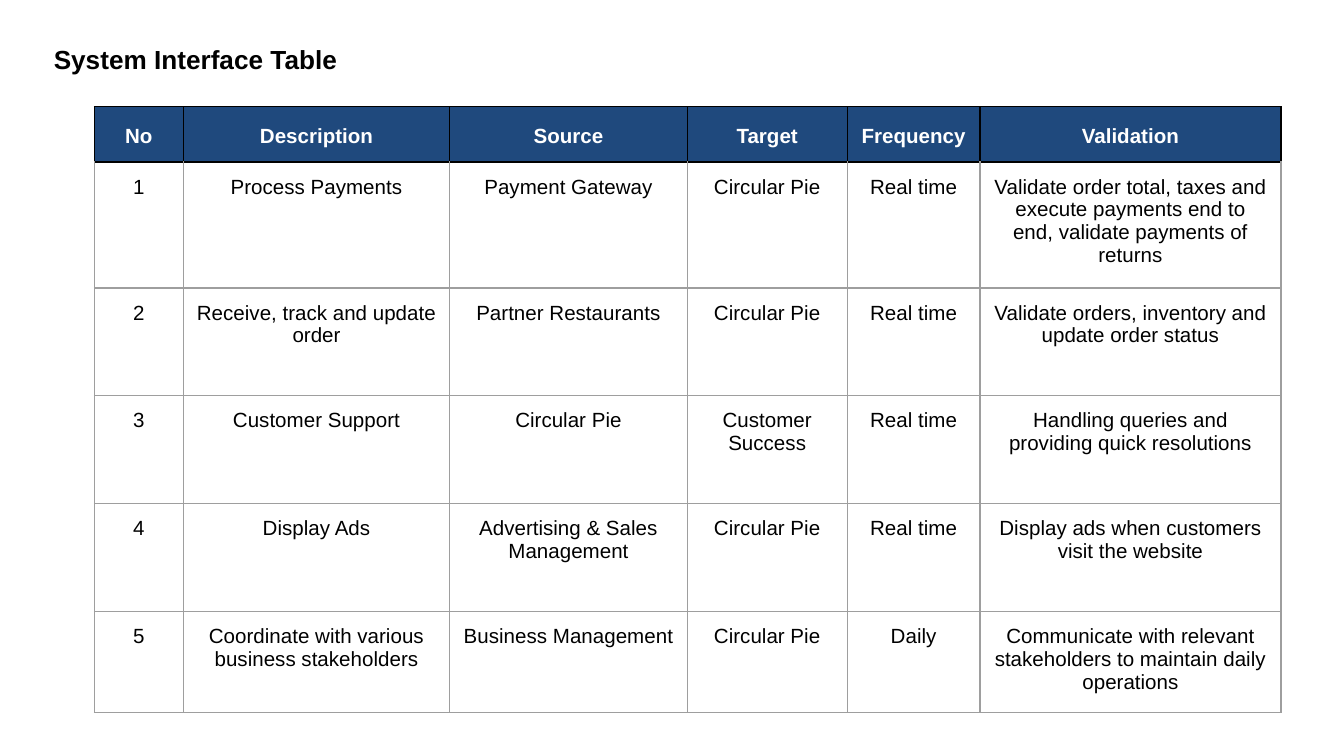
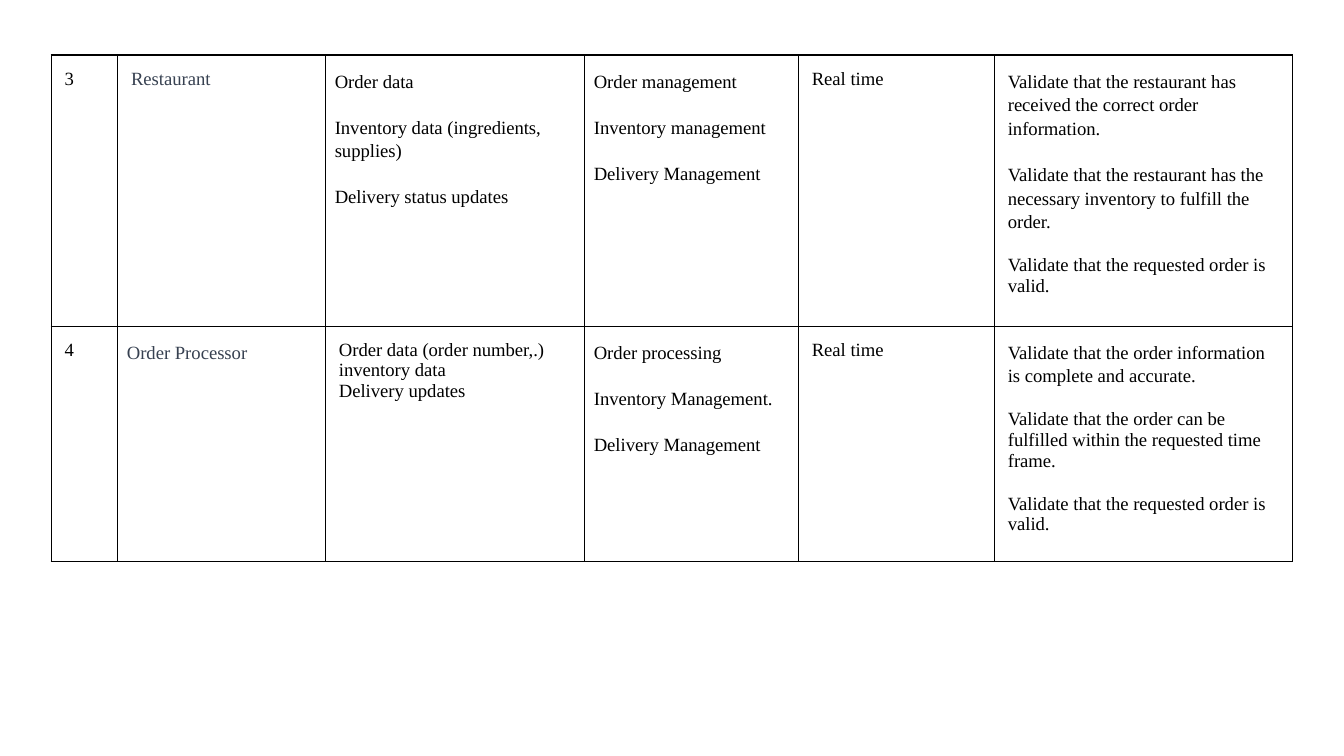
from lxml import etree
from pptx import Presentation
from pptx.dml.color import RGBColor
from pptx.enum.text import MSO_ANCHOR as Anchor, MSO_AUTO_SIZE as AutoSize, PP_ALIGN as Align
from pptx.oxml.ns import qn
from pptx.util import Pt

# Content
TITLE = "System Interface Table"
HEADERS = ["No", "Description", "Source", "Target", "Frequency", "Validation"]
INTERFACES = [
    ("1", "Process Payments", "Payment Gateway", "Circular Pie", "Real time",
     "Validate order total, taxes and execute payments end to end, validate payments of returns"),
    ("2", "Receive, track and update order", "Partner Restaurants", "Circular Pie", "Real time",
     "Validate orders, inventory and update order status"),
    ("3", "Customer Support", "Circular Pie", "Customer Success", "Real time",
     "Handling queries and providing quick resolutions"),
    ("4", "Display Ads", "Advertising & Sales Management", "Circular Pie", "Real time",
     "Display ads when customers visit the website"),
    ("5", "Coordinate with various business stakeholders", "Business Management", "Circular Pie",
     "Daily", "Communicate with relevant stakeholders to maintain daily operations"),
]
# Each cell: style name, paragraphs
ROLES = [
    [("plain", ["3"]),
     ("plain", ["Restaurant"]),
     ("list", ["Order data", "Inventory data (ingredients, supplies)", "Delivery status updates"]),
     ("list", ["Order management", "Inventory management", "Delivery Management"]),
     ("plain", ["Real time"]),
     ("checks_two_open", ["Validate that the restaurant has received the correct order information.",
                          "Validate that the restaurant has the necessary inventory to fulfill the order.",
                          "Validate that the requested order is valid."])],
    [("plain", ["4"]),
     ("list", ["Order Processor"]),
     ("plain", ["Order data (order number,.)", "inventory data", "Delivery updates"]),
     ("list", ["Order processing", "Inventory Management.", "Delivery Management"]),
     ("plain", ["Real time"]),
     ("checks_one_open", ["Validate that the order information is complete and accurate.",
                          "Validate that the order can be fulfilled within the requested time frame.",
                          "Validate that the requested order is valid."])],
]

# Shared look
BLACK, WHITE, NAVY, GREY, SLATE = "000000", "FFFFFF", "1F497D", "9E9E9E", "374151"
SANS, SERIF = "Arial", "Times New Roman"
INSET, NARROW, OPEN = 7.2, 5, 1.15
# Side inset, paragraphs with open lines, space before, space after the last
STYLES = {
    "plain": (INSET, 0, 0, 0),
    "list": (NARROW, 3, 12, 12),
    "checks_two_open": (INSET, 2, 12, 0),
    "checks_one_open": (INSET, 1, 12, 0),
}


def rgb(value):
    return RGBColor.from_string(value)


def set_font(p, name, size, color, bold=False):
    p.font.name, p.font.size, p.font.bold = name, Pt(size), bold
    p.font.color.rgb = rgb(color)


def set_borders(cell, color, top=None):
    """Draw the four edges, placed ahead of the cell fill."""
    tcPr = cell._tc.get_or_add_tcPr()
    for i, side in enumerate(("lnL", "lnR", "lnT", "lnB")):
        ln = etree.Element(qn("a:" + side), w=str(Pt(0.75)))
        fill = etree.SubElement(ln, qn("a:solidFill"))
        edge = top if top and side == "lnT" else color
        etree.SubElement(fill, qn("a:srgbClr"), val=edge)
        tcPr.insert(i, ln)


def set_cell(cell, paragraphs, fill, border, side=INSET, top=None):
    cell.margin_left = cell.margin_right = Pt(side)
    cell.margin_top = cell.margin_bottom = Pt(INSET)
    cell.fill.solid()
    cell.fill.fore_color.rgb = rgb(fill)
    set_borders(cell, border, top)
    cell.text_frame.text = "\n".join(paragraphs)
    return cell.text_frame.paragraphs


def add_grid(s, left, top, widths, heights):
    table = s.shapes.add_table(len(heights), len(widths), Pt(left), Pt(top),
                               Pt(sum(widths)), Pt(sum(heights))).table
    table.first_row = table.horz_banding = False
    for column, width in zip(table.columns, widths):
        column.width = Pt(width)
    for row, height in zip(table.rows, heights):
        row.height = Pt(height)
    return table


prs = Presentation()
prs.slide_width, prs.slide_height = Pt(720), Pt(405)

# Slide 1: title and system interfaces
s = prs.slides.add_slide(prs.slide_layouts[5])
title = s.shapes.title
title.left, title.top, title.width, title.height = Pt(21.6), Pt(15.8), Pt(234), Pt(31.7)
tf = title.text_frame
tf.text = TITLE
tf.word_wrap, tf.auto_size, tf.vertical_anchor = True, AutoSize.SHAPE_TO_FIT_TEXT, Anchor.TOP
tf.margin_left = tf.margin_right = tf.margin_top = tf.margin_bottom = Pt(INSET)
tf.paragraphs[0].alignment = Align.LEFT
set_font(tf.paragraphs[0], SANS, 14, BLACK, True)

table = add_grid(s, 50.6, 57.2, [47.6, 142.8, 127.2, 85.7, 71.2, 161.2],
                 [29.6, 67.5, 57.8, 57.8, 57.8, 54])
for r, row in enumerate([HEADERS] + INTERFACES):
    header = r == 0
    for c, text in enumerate(row):
        cell = table.cell(r, c)
        if header:
            p = set_cell(cell, [text], NAVY, BLACK, side=2)[0]
            cell.vertical_anchor = Anchor.MIDDLE
            p.line_spacing = OPEN
        else:
            p = set_cell(cell, [text], WHITE, GREY, top=BLACK if r == 1 else None)[0]
        p.alignment = Align.CENTER
        set_font(p, SANS, 11, WHITE if header else BLACK, header)

# Slide 2: roles, data and checks
s = prs.slides.add_slide(prs.slide_layouts[6])
table = add_grid(s, 27.4, 29.5, [35.6, 111.4, 138.8, 114.6, 105, 159.7], [145.3, 126])
for r, row in enumerate(ROLES):
    for c, (style, texts) in enumerate(row):
        side, open_count, before, after = STYLES[style]
        paragraphs = set_cell(table.cell(r, c), texts, WHITE, BLACK, side)
        for i, p in enumerate(paragraphs):
            set_font(p, SERIF, 10, SLATE if c == 1 else BLACK)
            p.space_before = Pt(before)
            if i < open_count:
                p.line_spacing = OPEN
        paragraphs[-1].space_after = Pt(after)

prs.save("out.pptx")
